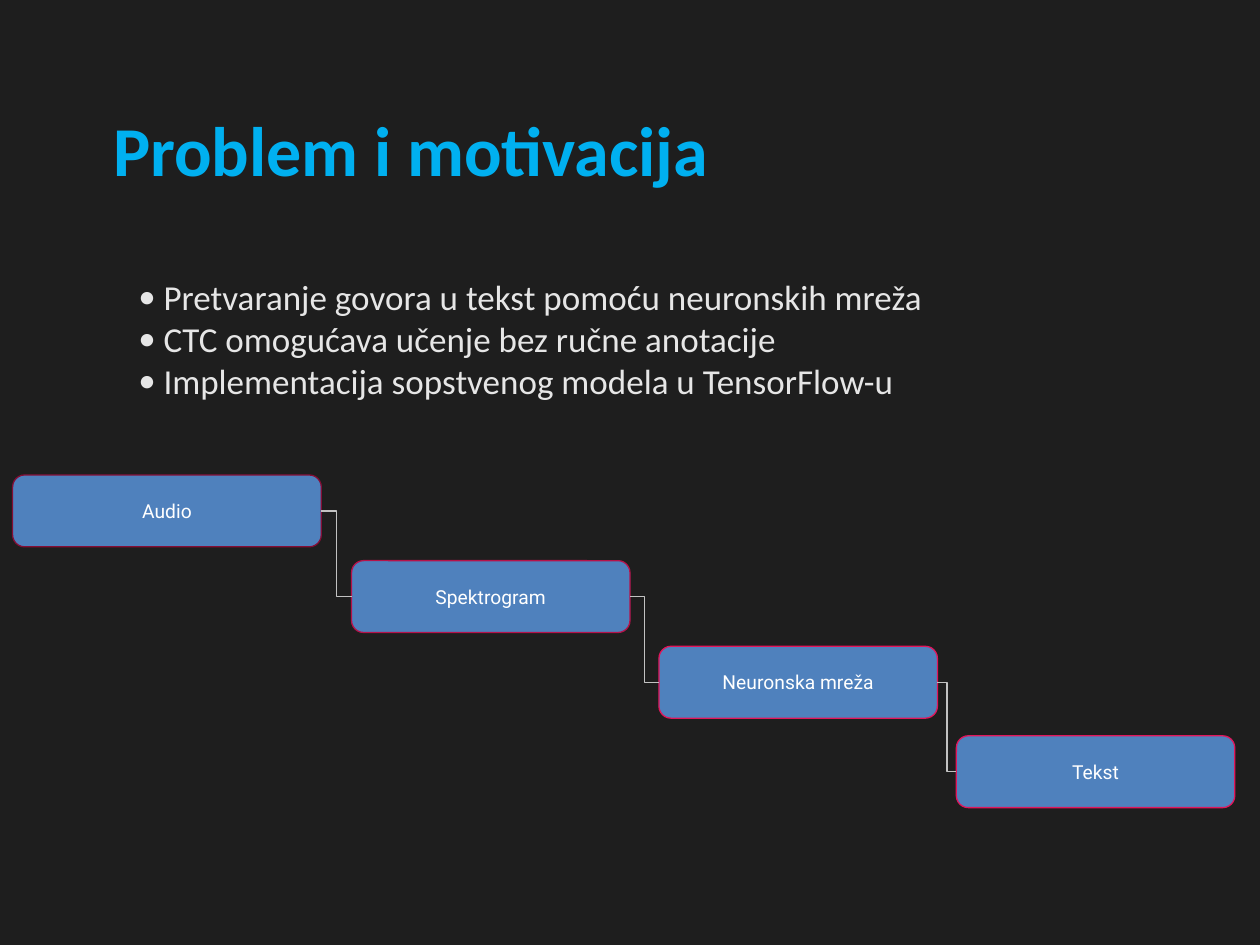
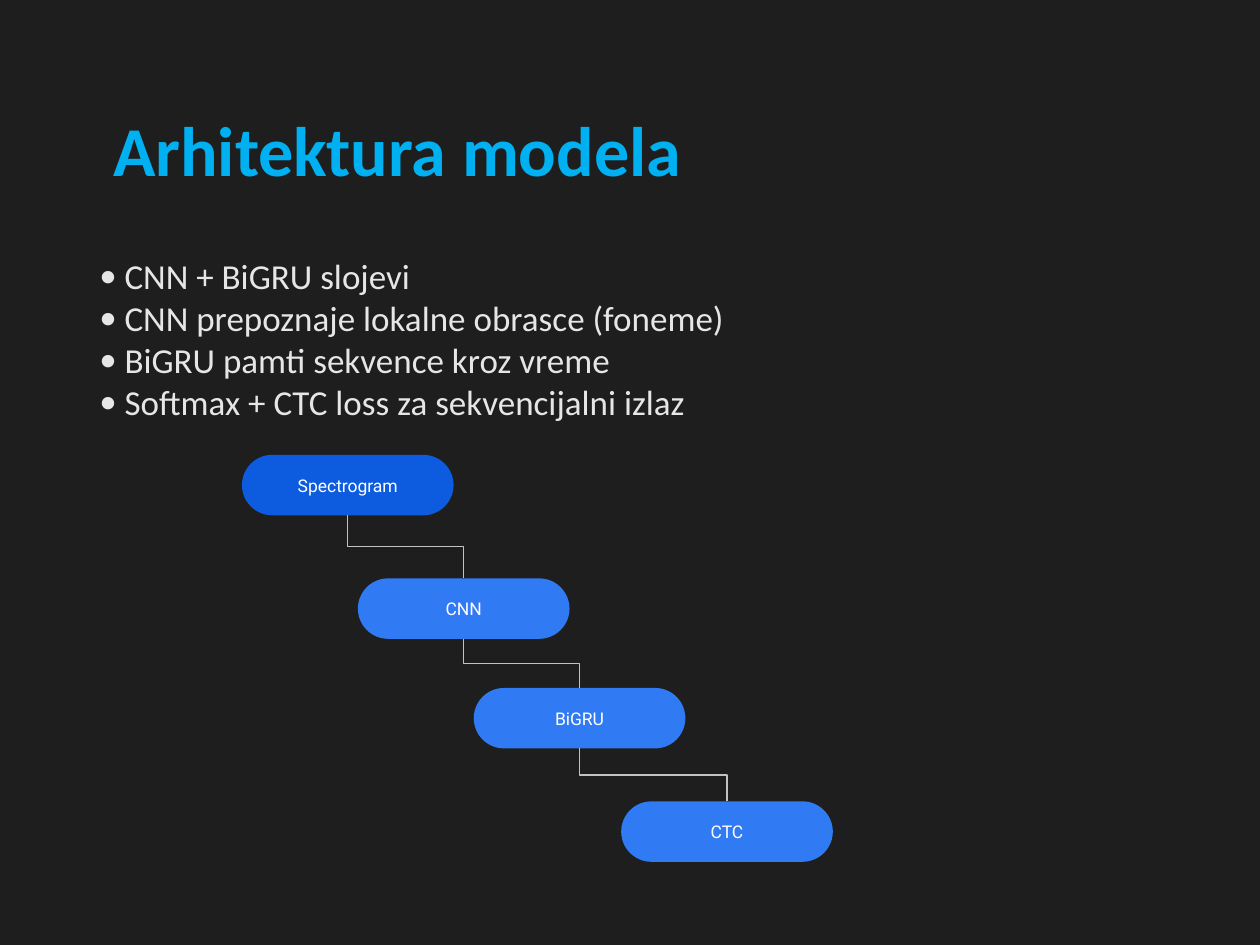
from lxml.etree import SubElement
from pptx import Presentation
from pptx.dml.color import RGBColor
from pptx.enum.shapes import MSO_CONNECTOR as Connector, MSO_SHAPE as Shape
from pptx.enum.text import MSO_ANCHOR as Anchor, PP_ALIGN as Align
from pptx.oxml.ns import qn
from pptx.util import Inches, Pt

# Content: each step is (label, left, top, width, fill, outline)
SLIDES = [
    dict(
        title="Problem i motivacija",
        points=[
            "Pretvaranje govora u tekst pomoću neuronskih mreža",
            "CTC omogućava učenje bez ručne anotacije",
            "Implementacija sopstvenog modela u TensorFlow-u",
        ],
        points_at=(1, 2.14, 8.5, 1.12),
        steps=[
            ("Audio", 0.1, 3.77, 2.45, "4F81BD", "840D35"),
            ("Spektrogram", 2.79, 4.45, 2.21, "4F81BD", "B6124A"),
            ("Neuronska mreža", 5.23, 5.13, 2.21, "4F81BD", "E1165B"),
            ("Tekst", 7.59, 5.84, 2.21, "4F81BD", "E1165B"),
        ],
        step_height=0.57, rounding=0.167, label_size=11, downward=False,
    ),
    dict(
        title="Arhitektura modela",
        points=[
            "CNN + BiGRU slojevi",
            "CNN prepoznaje lokalne obrasce (foneme)",
            "BiGRU pamti sekvence kroz vreme",
            "Softmax + CTC loss za sekvencijalni izlaz",
        ],
        points_at=(0.69, 1.97, 8.5, 1.46),
        steps=[
            ("Spectrogram", 1.92, 3.61, 1.68, "0D5CDF", None),
            ("CNN", 2.84, 4.59, 1.68, "307AF3", None),
            ("BiGRU", 3.76, 5.46, 1.68, "307AF3", None),
            ("CTC", 4.93, 6.36, 1.68, "307AF3", None),
        ],
        step_height=0.48, rounding=0.5, label_size=10, downward=True,
    ),
]

# Shared style
BACKGROUND, TITLE, BODY = "1E1E1E", "00B0F0", "E6E6E6"
LABEL, LINK = "FFFFFF", "C2C2C2"
TITLE_AT = (0.8, 0.8, 9, 0.78)
BULLET_INDENT = Inches(0.2)
TOP, LEFT, BOTTOM, RIGHT = range(4)  # connection sites of a rounded box


def color(hex_code):
    return RGBColor.from_string(hex_code)


def style(paragraph, size, font, hex_code, bold=False):
    for run in paragraph.runs:
        run.font.size, run.font.name, run.font.bold = Pt(size), font, bold
        run.font.color.rgb = color(hex_code)


def add_text(slide, at, lines, size, hex_code, bold=False):
    frame = slide.shapes.add_textbox(*map(Inches, at)).text_frame
    frame.word_wrap = True
    frame.text = "\n".join(lines)
    for paragraph in frame.paragraphs:
        style(paragraph, size, "Calibri", hex_code, bold)
    return frame


def add_bullet(paragraph):
    props = paragraph._p.get_or_add_pPr()
    props.set("marL", str(BULLET_INDENT))
    props.set("indent", str(-BULLET_INDENT))
    SubElement(props, qn("a:buFont")).set("typeface", "Calibri")
    SubElement(props, qn("a:buChar")).set("char", "•")


def add_step(slide, page, label, left, top, width, fill, outline):
    box = slide.shapes.add_shape(
        Shape.ROUNDED_RECTANGLE,
        *map(Inches, (left, top, width, page["step_height"])))
    box.adjustments[0] = page["rounding"]
    box.shadow.inherit = False
    box.fill.solid()
    box.fill.fore_color.rgb = color(fill)
    if outline:
        box.line.color.rgb = color(outline)
        box.line.width = Pt(0.75)
    else:
        box.line.fill.background()
    frame = box.text_frame
    frame.text = label
    frame.vertical_anchor = Anchor.MIDDLE
    frame.margin_top = frame.margin_bottom = Inches(0.1)
    frame.paragraphs[0].alignment = Align.CENTER
    style(frame.paragraphs[0], page["label_size"], "Roboto", LABEL)
    return box


def link_steps(slide, start, end, downward):
    link = slide.shapes.add_connector(Connector.ELBOW, 0, 0, 0, 0)
    link.begin_connect(start, BOTTOM if downward else RIGHT)
    link.end_connect(end, TOP if downward else LEFT)
    link.line.color.rgb = color(LINK)
    link.line.width = Pt(0.75)
    SubElement(link._element.spPr, qn("a:effectLst"))
    if downward:
        # A downward elbow is a sideways one, turned about its centre
        across, down = link.width, link.height
        link.left += (across - down) // 2
        link.top += (down - across) // 2
        link.width, link.height = down, across
        turn = link._element.spPr.find(qn("a:xfrm"))
        turn.set("rot", str(270 * 60000))
        turn.set("flipH", "1")


def build_slide(deck, page):
    slide = deck.slides.add_slide(deck.slide_layouts[6])
    slide.background.fill.solid()
    slide.background.fill.fore_color.rgb = color(BACKGROUND)

    # Title and bullet points
    add_text(slide, TITLE_AT, [page["title"]], 40, TITLE, bold=True)
    points = add_text(slide, page["points_at"], page["points"], 20, BODY)
    for paragraph in points.paragraphs:
        add_bullet(paragraph)

    # Staircase of steps
    boxes = [add_step(slide, page, *step) for step in page["steps"]]
    for start, end in zip(boxes, boxes[1:]):
        link_steps(slide, start, end, page["downward"])


def main():
    deck = Presentation()
    deck.slide_width, deck.slide_height = Inches(10), Inches(7.5)
    for page in SLIDES:
        build_slide(deck, page)
    deck.save("out.pptx")


if __name__ == "__main__":
    main()
